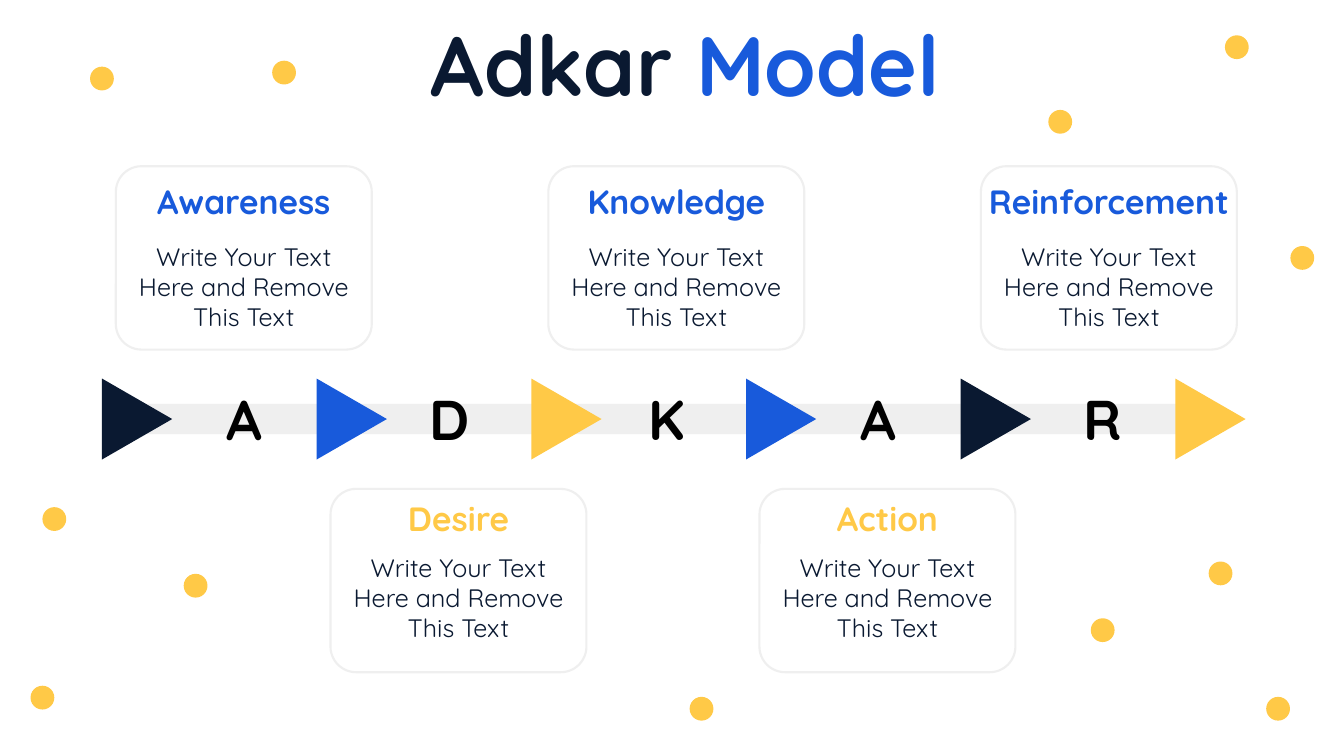
from pptx import Presentation
from pptx import util as u
from pptx.dml import color
from pptx.enum import shapes, text

NAVY, BLUE, GOLD, GREY, BLACK = "0A1931", "185ADB", "FFC947", "EFEFEF", "000000"
FONT = "Quicksand"
KIND = shapes.MSO_SHAPE


def paint(target, tint):
    target.rgb = color.RGBColor.from_string(tint)


class Painter:
    def __init__(self, slide):
        self.slide = slide
        self.home = slide.shapes

    def shape(self, kind, x, y, w, h, fill=None, line=None, curve=None):
        item = self.home.add_shape(kind, u.Cm(x), u.Cm(y), u.Cm(w), u.Cm(h))
        item.shadow.inherit = False
        if fill:
            item.fill.solid()
            paint(item.fill.fore_color, fill)
        else:
            item.fill.background()
        if line:
            paint(item.line.color, line)
            item.line.width = u.Pt(1.5)
        else:
            item.line.fill.background()
        if curve is not None:
            item.adjustments[0] = curve
        return item

    def style(self, frame, size, bold, wrap):
        frame.word_wrap = wrap
        frame.vertical_anchor = text.MSO_ANCHOR.TOP
        para = frame.paragraphs[0]
        para.alignment = text.PP_ALIGN.CENTER
        para.font.name = FONT
        para.font.size = u.Pt(size)
        para.font.bold = bold
        return para

    def label(self, words, mid, y, w, h, size, tint, bold=True, wrap=False):
        box = self.home.add_textbox(u.Cm(mid - w / 2), u.Cm(y), u.Cm(w), u.Cm(h))
        box.text_frame.text = words
        para = self.style(box.text_frame, size, bold, wrap)
        paint(para.font.color, tint)

    def title(self, parts):
        box = self.slide.shapes.title
        box.left, box.top = u.Cm(10.49), u.Cm(0.2)
        box.width, box.height = u.Cm(13.56), u.Cm(2.82)
        para = self.style(box.text_frame, 60, True, False)
        for words, tint in parts:
            run = para.add_run()
            run.text = words
            paint(run.font.color, tint)

    def dot(self, x, y, size=0.6):
        self.shape(KIND.OVAL, x - size / 2, y - size / 2, size, size, GOLD)

    def arrow(self, x, y, tint, base=2.04, reach=1.77):
        item = self.shape(KIND.ISOSCELES_TRIANGLE, x + (reach - base) / 2,
                          y - reach / 2, base, reach, tint)
        item.rotation = 90

    def card(self, head, x, y, tint, head_gap, body_gap, w=6.45):
        self.home = self.slide.shapes.add_group_shape().shapes
        mid = x + w / 2
        self.shape(KIND.ROUNDED_RECTANGLE, x, y, w, 4.62, line=GREY, curve=0.14)
        self.label(head, mid, y + head_gap, 7, 1.27, 24, tint)
        self.label("Write Your Text Here and Remove This Text", mid, y + body_gap,
                   6.2, 2.57, 18, NAVY, bold=False, wrap=True)
        self.home = self.slide.shapes


def main():
    deck = Presentation()
    deck.slide_width, deck.slide_height = u.Cm(33.87), u.Cm(19.05)
    pen = Painter(deck.slides.add_slide(deck.slide_layouts[5]))

    pen.title([("Adkar", NAVY), (" Model", BLUE)])

    axis = 10.56
    pen.shape(KIND.ROUNDED_RECTANGLE, 3.15, axis - 0.38, 27.03, 0.76, GREY, curve=0.5)

    for spot in [(17.68, 17.86), (27.79, 15.88), (4.93, 14.76), (1.37, 13.08),
                 (30.76, 14.45), (32.21, 17.86), (1.07, 17.58), (7.16, 1.83),
                 (26.72, 3.07), (2.57, 1.98), (31.17, 1.19), (32.82, 6.5)]:
        pen.dot(*spot)

    for i, tint in enumerate([NAVY, BLUE, GOLD, BLUE, NAVY, GOLD]):
        pen.arrow(2.57 + i * 5.41, axis, tint)

    for letter, mid in zip("ADKAR", [6.15, 11.33, 16.8, 22.14, 27.8]):
        pen.label(letter, mid, 9.56, 1.5, 1.96, 40, BLACK)

    for i, head in enumerate(["Awareness", "Knowledge", "Reinforcement"]):
        pen.card(head, 2.92 + i * 10.9, 4.19, BLUE, 0.24, 1.76)
    for i, head in enumerate(["Desire", "Action"]):
        pen.card(head, 8.33 + i * 10.81, 12.32, GOLD, 0.1, 1.47)

    deck.save("out.pptx")


if __name__ == "__main__":
    main()
